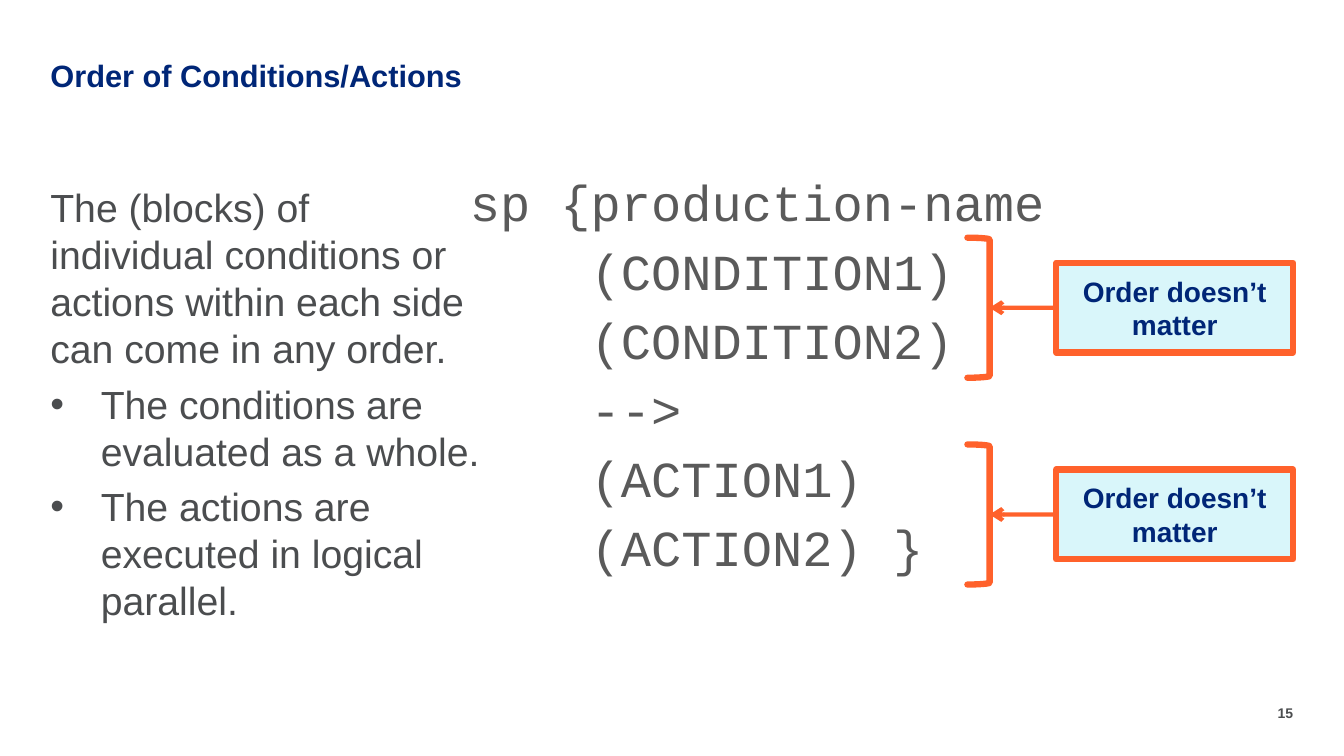
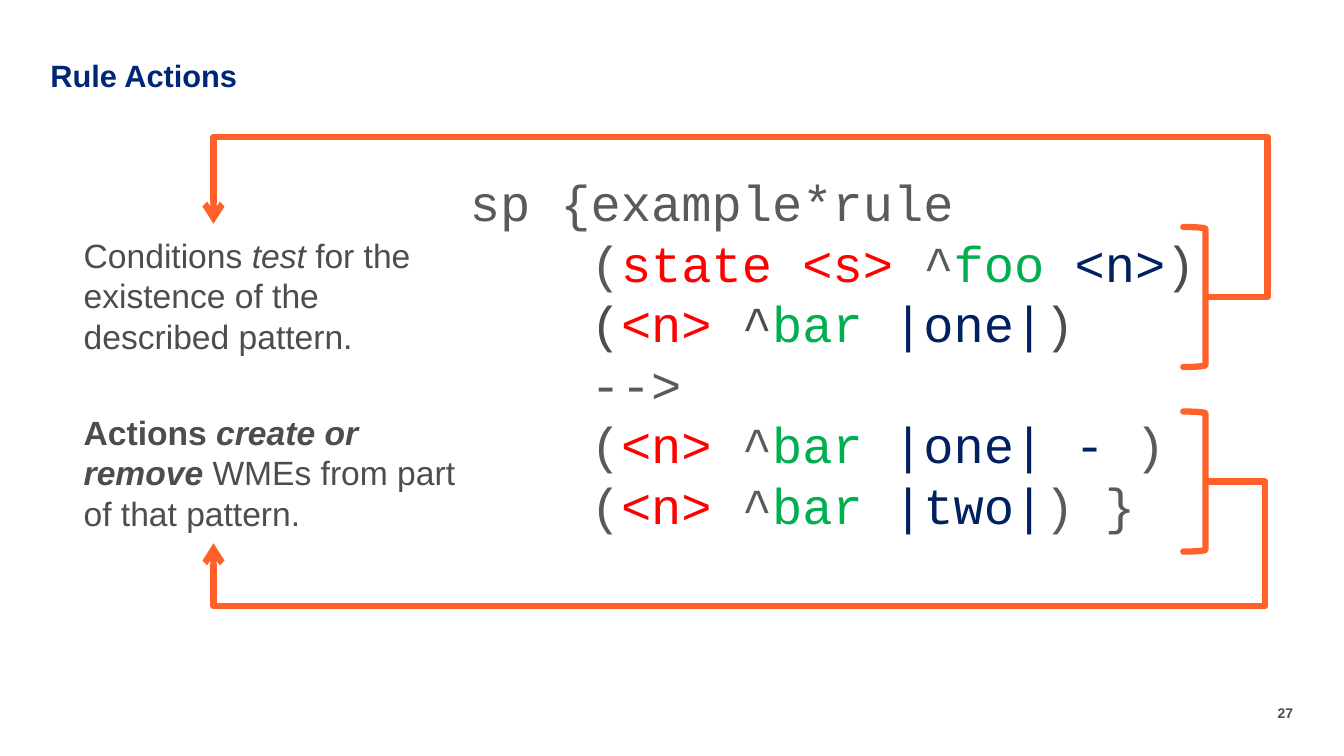
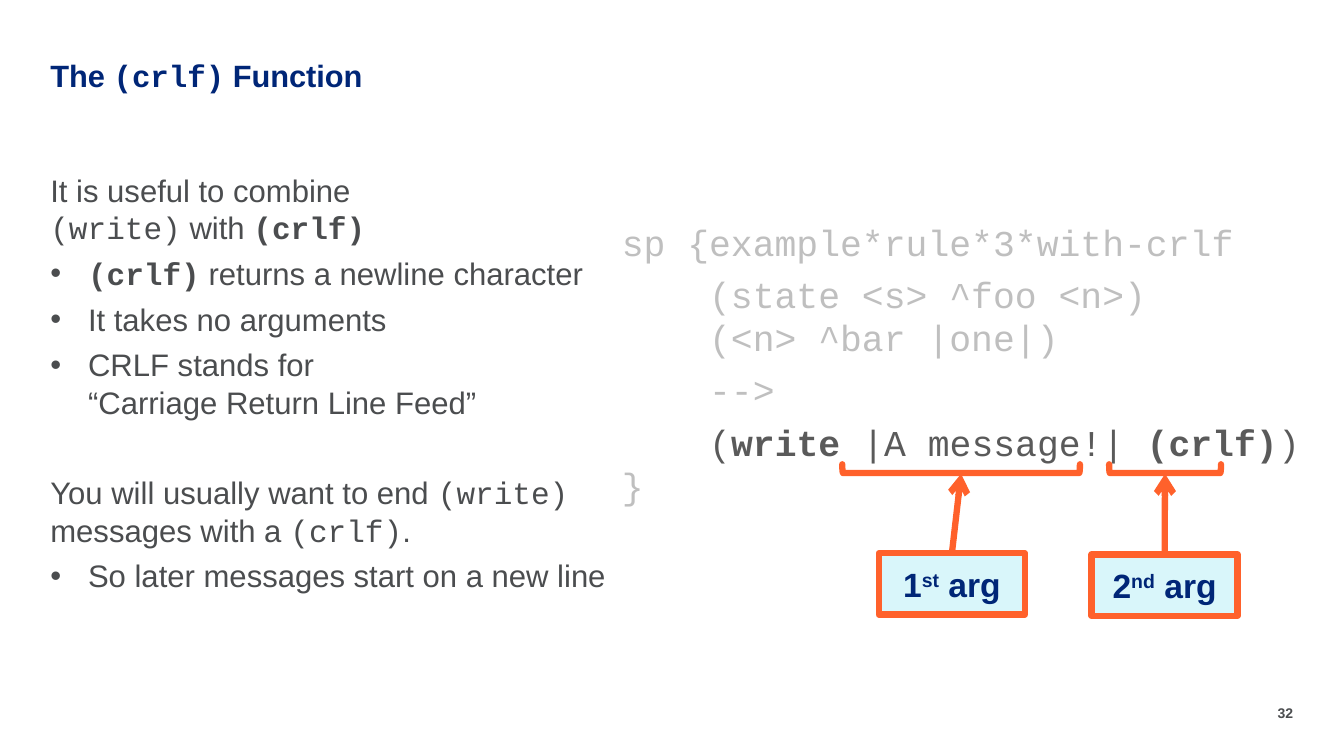
import pptx
import pptx.util
import pptx.dml.color
import pptx.enum.shapes
import pptx.enum.text
import pptx.oxml.ns
from lxml import etree

Cm, Pt = pptx.util.Cm, pptx.util.Pt
SHAPE = pptx.enum.shapes.MSO_SHAPE
CONNECTOR = pptx.enum.shapes.MSO_CONNECTOR
ALIGN = pptx.enum.text.PP_ALIGN
ANCHOR = pptx.enum.text.MSO_ANCHOR

NAVY, GREY, CODE_GREY, PALE_GREY = "002677", "4B4D4F", "5A5A5A", "BFBFBF"
ORANGE, ICE = "FF612B", "D9F6FA"
RED, GREEN, DARK_BLUE = "FF0000", "00B050", "002060"
SANS, MONO = "Arial", "Courier New"
HEADING = {"name": SANS, "size": 22, "bold": True, "color": NAVY}
NUMBER = {"name": SANS, "size": 10, "bold": True, "color": GREY}
LABEL = {"name": SANS, "size": 20, "bold": True, "color": NAVY}
BODY = {"name": SANS, "size": 28, "color": GREY}
CODE = {"name": MONO, "size": 36, "color": CODE_GREY}
FIXED = {"name": MONO}
FIXED_BOLD = {"name": MONO, "bold": True}
CODE_BOX = (11.84, 4.32, 20.47, 10.92)


def rgb(value):
    """Turn a hex string into a colour."""
    return pptx.dml.color.RGBColor.from_string(value)


def add_xml(parent, tag, **attrs):
    """Append a drawing element with attributes."""
    return etree.SubElement(parent, pptx.oxml.ns.qn("a:" + tag), attrs)


def format_font(font, style):
    """Apply a dict of format values to a font."""
    for key, value in style.items():
        if key == "color":
            font.color.rgb = rgb(value)
        elif key == "baseline":
            font._element.set("baseline", str(value))
        else:
            setattr(font, key, Pt(value) if key == "size" else value)


def write(tf, paragraphs, style, spacing=1.0, align=ALIGN.LEFT):
    """Write (runs, options) paragraphs; options are bullet indent and space before."""
    for i, (runs, options) in enumerate(paragraphs):
        p = tf.paragraphs[0] if i == 0 else tf.add_paragraph()
        if "bullet" in options:
            pPr = p._p.get_or_add_pPr()
            indent = Cm(options["bullet"])
            pPr.set("marL", str(indent))
            pPr.set("indent", str(-indent))
            add_xml(pPr, "buFont", typeface=SANS)
            add_xml(pPr, "buChar", char="•")
        p.alignment, p.line_spacing = align, spacing
        p.space_before = Pt(options.get("before", 6) if i else 0)
        for content, changes in runs:
            for j, part in enumerate(content.split("\n")):
                if j:
                    p.add_line_break()
                if part:
                    r = p.add_run()
                    r.text = part
                    format_font(r.font, {**style, **changes})


def plain(content, **options):
    """Make a paragraph of one unchanged run."""
    return [(content, {})], options


def prepare(tf, anchor=ANCHOR.TOP):
    """Give a text frame wrapping, no insets and an anchor."""
    values = {"word_wrap": True, "auto_size": pptx.enum.text.MSO_AUTO_SIZE.NONE,
              "vertical_anchor": anchor, "margin_left": 0, "margin_right": 0,
              "margin_top": 0, "margin_bottom": 0}
    for key, value in values.items():
        setattr(tf, key, value)
    return tf


def text_region(s, box, paragraphs, style, **options):
    """Add a text box at the given box."""
    tf = prepare(s.shapes.add_textbox(*map(Cm, box)).text_frame)
    write(tf, paragraphs, style, **options)


def new_slide(prs, title, number):
    """Add a slide with its title and page number."""
    s = prs.slides.add_slide(prs.slide_layouts[5])
    sp = s.shapes.title
    sp.left, sp.top, sp.width, sp.height = map(Cm, (1.27, 1.53, 26.67, 0.84))
    write(prepare(sp.text_frame, ANCHOR.MIDDLE), [(title, {})], HEADING, 0.9)
    text_region(s, (31.09, 17.75, 1.5, 0.43), [plain(number)], NUMBER,
                align=ALIGN.RIGHT)
    return s


def stroke(sp, width=4.5):
    """Give a shape or connector the orange line."""
    sp.line.color.rgb = rgb(ORANGE)
    sp.line.width = Pt(width)
    return sp.line._get_or_add_ln()


def bracket(s, box, rotation=0):
    """Add a right bracket."""
    sp = s.shapes.add_shape(SHAPE.RIGHT_BRACKET, *map(Cm, box))
    sp.shadow.inherit = False
    sp.fill.background()
    sp.rotation = rotation
    stroke(sp).set("cap", "rnd")


def label_box(s, box, runs, size):
    """Add a framed label."""
    sp = s.shapes.add_shape(SHAPE.RECTANGLE, *map(Cm, box))
    sp.shadow.inherit = False
    sp.fill.solid()
    sp.fill.fore_color.rgb = rgb(ICE)
    stroke(sp)
    sp.text_frame.word_wrap = True
    sp.text_frame.vertical_anchor = ANCHOR.MIDDLE
    write(sp.text_frame, [(runs, {})], {**LABEL, "size": size}, align=ALIGN.CENTER)
    return sp


def finish_line(c, width=4.5, arrow=True):
    """Format a connector, with an arrowhead at its end if wanted."""
    ln = stroke(c, width)
    if arrow:
        add_xml(ln, "tailEnd", type="arrow")
    add_xml(c._element.spPr, "effectLst")


def box_arrow(s, sp, side, tip, width):
    """Draw an arrow from a side of a label to a tip."""
    end = tuple(map(Cm, tip))
    c = s.shapes.add_connector(CONNECTOR.STRAIGHT, sp.left, sp.top, *end)
    c.begin_connect(sp, side)
    finish_line(c, width)


def elbow(s, start, end, turn, arrow):
    """Draw a leftward elbow whose upright part stands at x = turn."""
    c = s.shapes.add_connector(CONNECTOR.ELBOW, *map(Cm, end + start))
    spPr = c._element.spPr
    spPr.find(pptx.oxml.ns.qn("a:xfrm")).set("rot", "10800000")
    share = round(100000 * (start[0] - turn) / (start[0] - end[0]))
    add_xml(spPr.find(".//" + pptx.oxml.ns.qn("a:avLst")), "gd",
            name="adj1", fmla=f"val {share}")
    finish_line(c, arrow=arrow)


def order_note(s, x, y):
    """Add a bracket with its note on the right."""
    w, h, box_h = 0.56, 3.53, 2.26
    middle = y + h / 2
    bracket(s, (x, y, w, h))
    sp = label_box(s, (x + 2.24, middle - box_h / 2, 5.97, box_h),
                   [("Order doesn’t matter", {})], 20)
    box_arrow(s, sp, 1, (x + w, middle), 3)


def routed_bracket(s, x, y, turn, rail, tip):
    """Add a bracket and lead a line from it along a rail to a tip."""
    w, h, joint = 0.56, 3.53, 12
    bracket(s, (x, y, w, h))
    elbow(s, (x + w, y + h / 2), (joint, rail), turn, False)
    elbow(s, (joint + 0.4, rail), tip, tip[0], True)


def argument(s, x, y, number, suffix, middle, length):
    """Add an argument label that points to a bracket under the code."""
    thick, bracket_y = 0.22, 11.81
    bracket(s, (middle - thick / 2, bracket_y - length / 2, thick, length), 90)
    runs = [(number, {}), (suffix, {"baseline": 30000}), (" arg", {})]
    sp = label_box(s, (x, y, 3.68, 1.55), runs, 24)
    box_arrow(s, sp, 0, (middle, 11.94), 4.5)


def wme(subject, attribute, value, gap=" ", mark=CODE_GREY):
    """Make the coloured runs inside one pair of brackets."""
    return [(subject, {"color": RED}), (gap + "^", {"color": mark}),
            (attribute + " ", {"color": GREEN}), (value, {"color": DARK_BLUE})]


def order_slide(prs):
    """Build the slide on the order of conditions and actions."""
    s = new_slide(prs, [("Order of Conditions/Actions", {})], "15")
    lines = ("sp {production-name", "    (CONDITION1)", "    (CONDITION2)",
             "    -->", "    (ACTION1)", "    (ACTION2) }")
    text_region(s, CODE_BOX, [plain(line) for line in lines], CODE)
    text_region(s, (1.27, 4.62, 10.85, 11.2), [
        plain("The (blocks) of individual conditions or actions within each side "
              "can come in any order."),
        plain("The conditions are evaluated as a whole.", bullet=1.27),
        plain("The actions are executed in logical parallel.", bullet=1.27)], BODY)
    for y in (5.99, 11.2):
        order_note(s, 24.38, y)


def actions_slide(prs):
    """Build the slide on rule actions."""
    s = new_slide(prs, [("Rule Actions", {})], "27")
    text_region(s, (2.11, 5.92, 9.7, 8.79), [
        ([("Conditions ", {}), ("test", {"italic": True}),
          (" for the existence of the described pattern.", {})], {}),
        ([("Actions ", {"bold": True}),
          ("create or remove", {"bold": True, "italic": True}),
          (" WMEs from part of that pattern.", {})], {"before": 40})],
        {**BODY, "size": 24})
    grey = {"color": GREY}
    runs = [("sp {example*rule\n    (", {}),
            *wme("state <s> ", "foo", "<n>", ""), (")\n    (", grey),
            *wme("<n>", "bar", "|one|", mark=GREY), (")\n", grey),
            ("    -->\n    (", {}),
            *wme("<n>", "bar", "|one| - "), (")\n    (", {}),
            *wme("<n>", "bar", "|two|"), (") }", {})]
    text_region(s, CODE_BOX, [(runs, {})], CODE)
    routed_bracket(s, 29.82, 5.72, 31.95, 3.45, (5.38, 5.64))
    routed_bracket(s, 29.82, 10.37, 31.88, 15.27, (5.38, 13.69))


def crlf_slide(prs):
    """Build the slide on the crlf function."""
    s = new_slide(prs, [("The ", {}), ("(crlf)", FIXED), (" Function", {})], "32")
    bullet = {"bullet": 0.95}
    text_region(s, (1.27, 4.32, 14.22, 10.92), [
        ([("It is useful to combine \n", {}), ("(write)", FIXED), (" with ", {}),
          ("(crlf)", FIXED_BOLD)], {}),
        ([("(crlf)", FIXED_BOLD), (" returns a newline character", {})], bullet),
        plain("It takes no arguments", **bullet),
        plain("CRLF stands for\n“Carriage Return Line Feed”", **bullet),
        ([("You will usually want to end ", {}), ("(write)", FIXED),
          (" messages with a ", {}), ("(crlf)", FIXED), (".", {})], {"before": 38}),
        plain("So later messages start on a new line", **bullet)],
        {**BODY, "size": 22.2})
    dark = {"color": CODE_GREY}
    strong = {**dark, "bold": True}
    text_region(s, (15.67, 5.54, 17.09, 9.5), [
        plain("sp {example*rule*3*with-crlf"),
        plain("    (state <s> ^foo <n>)\n    (<n> ^bar |one|)"),
        plain("    -->"),
        ([("    (", dark), ("write", strong), (" |A message!| ", dark),
          ("(crlf)", strong), (")", dark), (" }", {})], {})],
        {**CODE, "size": 26, "color": PALE_GREY})
    argument(s, 22.15, 13.94, "1", "st", 24.22, 5.99)
    argument(s, 27.51, 13.97, "2", "nd", 29.36, 2.82)


def main():
    """Build and save the presentation."""
    prs = pptx.Presentation()
    prs.slide_width, prs.slide_height = Cm(33.87), Cm(19.05)
    for build in (order_slide, actions_slide, crlf_slide):
        build(prs)
    prs.save("out.pptx")


if __name__ == "__main__":
    main()
